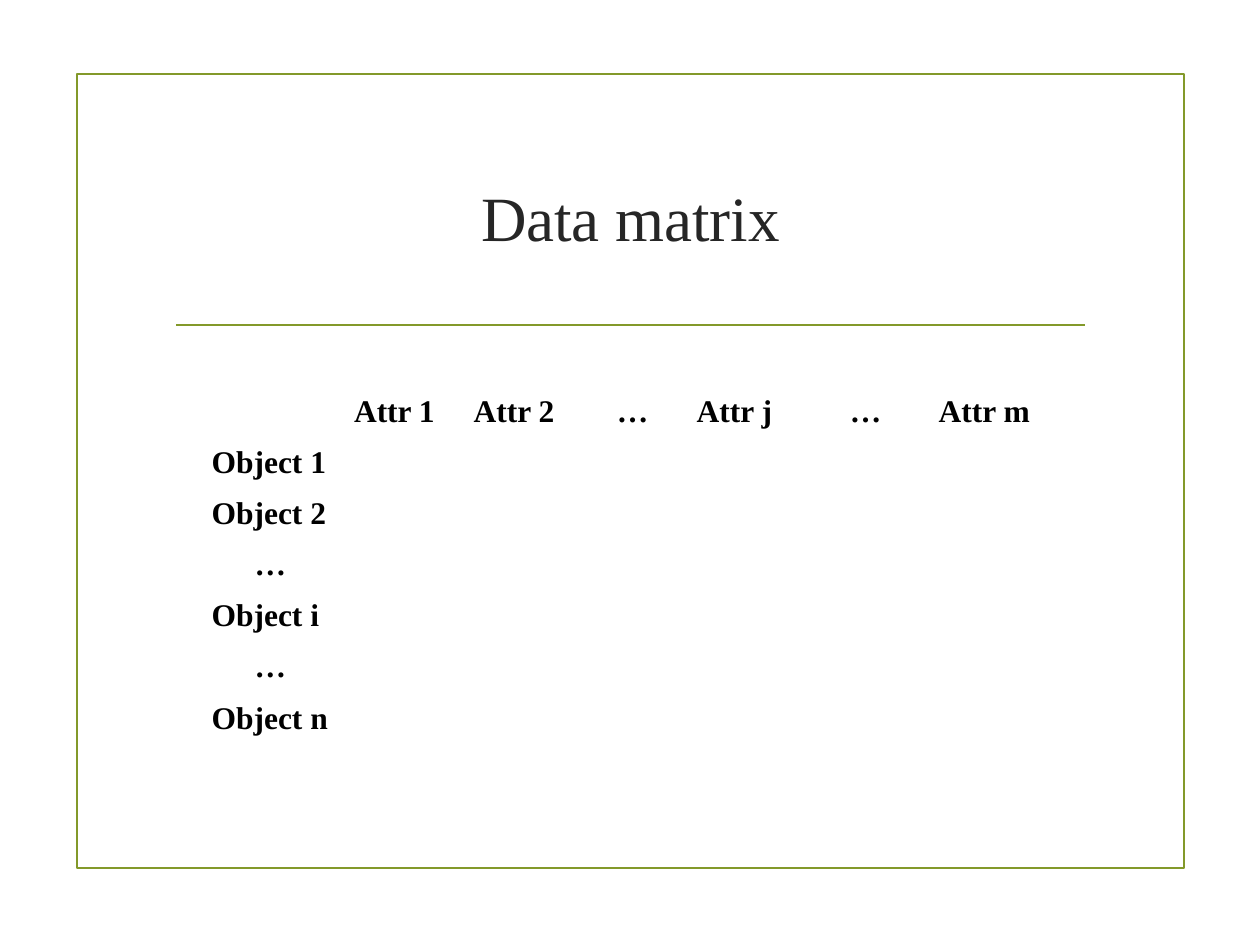
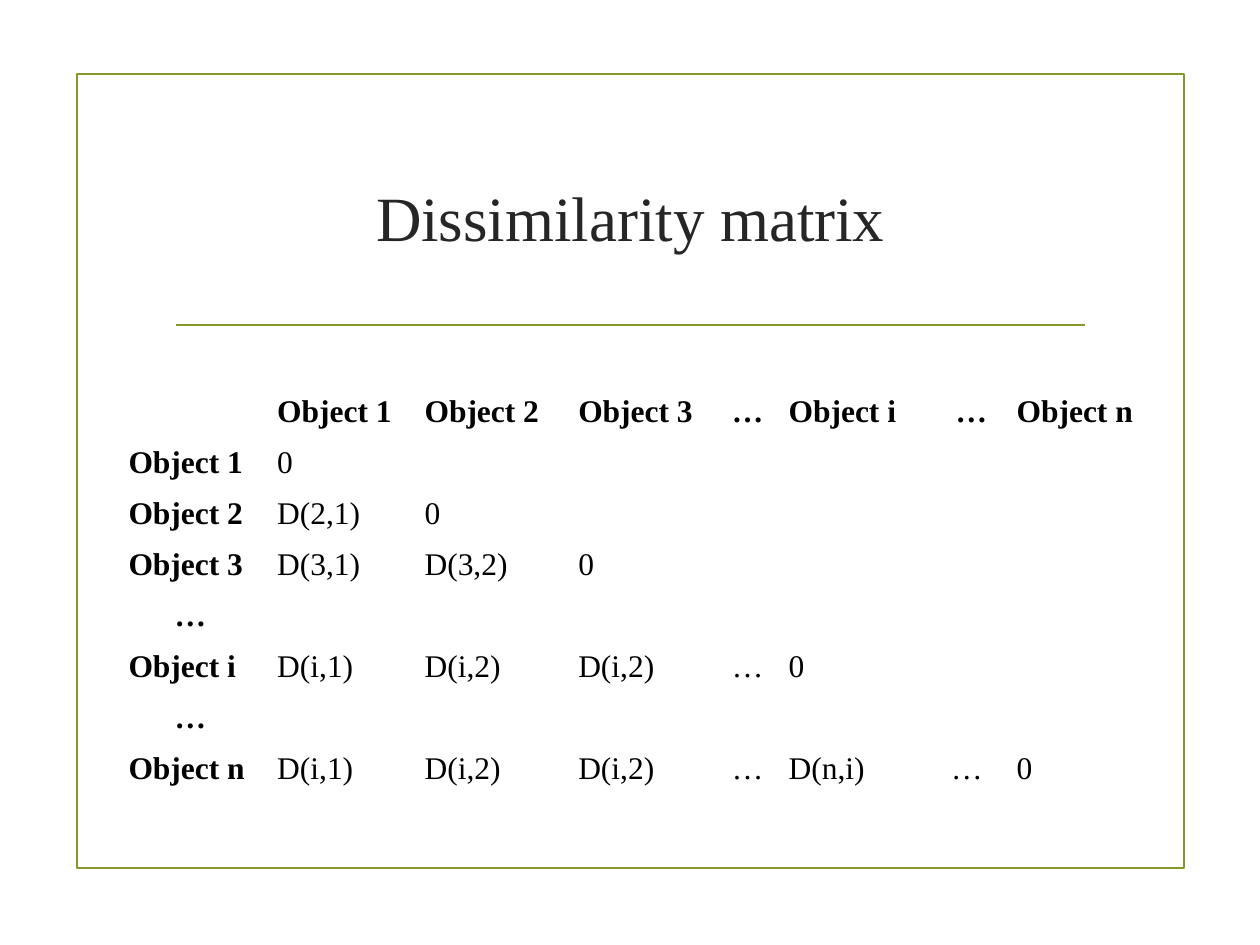
from lxml.etree import SubElement
from pptx import Presentation
from pptx.dml.color import RGBColor
from pptx.enum.shapes import MSO_CONNECTOR, MSO_SHAPE
from pptx.enum.text import MSO_ANCHOR, PP_ALIGN
from pptx.oxml.ns import qn
from pptx.util import Inches, Pt

COLORS = {"accent": "83992A", "title": "262626", "text": "000000", "border": "FFFFFF"}
FONT = "Times New Roman"
RULE_WIDTH = 1.25

DATA_MATRIX = [
    ["", "Attr 1", "Attr 2", "…", "Attr j", "…", "Attr m"],
    ["Object 1"],
    ["Object 2"],
    ["…"],
    ["Object i"],
    ["…"],
    ["Object n"],
]
DISSIMILARITY_MATRIX = [
    ["", "Object 1", "Object 2", "Object 3", "…", "Object i", "…", "Object n"],
    ["Object 1", "0"],
    ["Object 2", "D(2,1)", "0"],
    ["Object 3", "D(3,1)", "D(3,2)", "0"],
    ["…"],
    ["Object i", "D(i,1)", "D(i,2)", "D(i,2)", "…", "0"],
    ["…"],
    ["Object n", "D(i,1)", "D(i,2)", "D(i,2)", "…", "D(n,i)", "…", "0"],
]


def color(name):
    """Return the named colour."""
    return RGBColor.from_string(COLORS[name])


def add_run(paragraph, text, size, color_name, bold=False):
    """Append one styled run to a paragraph."""
    run = paragraph.add_run()
    run.text = text
    run.font.name = FONT
    run.font.size = Pt(size)
    run.font.bold = bold
    run.font.color.rgb = color(color_name)


def add_frame(slide):
    """Draw the outline around the slide content."""
    frame = slide.shapes.add_shape(
        MSO_SHAPE.RECTANGLE, Inches(0.61), Inches(0.59), Inches(8.79), Inches(6.3))
    frame.shadow.inherit = False
    frame.fill.background()
    frame.line.color.rgb = color("accent")
    frame.line.width = Pt(RULE_WIDTH)


def add_title_rule(slide):
    """Draw the line under the title."""
    rule = slide.shapes.add_connector(
        MSO_CONNECTOR.STRAIGHT, Inches(1.4), Inches(2.58), Inches(8.61), Inches(2.58))
    rule.line.color.rgb = color("accent")
    rule.line.width = Pt(RULE_WIDTH)
    SubElement(rule.element.spPr, qn("a:effectLst"))


def add_title(slide, text):
    """Write the centred title."""
    title = slide.shapes.add_textbox(
        Inches(2.2), Inches(1.38), Inches(5.61), Inches(0.67)).text_frame
    title.word_wrap = True
    title.vertical_anchor = MSO_ANCHOR.MIDDLE
    heading = title.paragraphs[0]
    heading.alignment = PP_ALIGN.CENTER
    add_run(heading, text, 36, "title")


def set_borders(cell, top, bottom):
    """Give a cell white borders, with top and bottom widths in points."""
    properties = cell._tc.get_or_add_tcPr()
    for side, width in (("L", 1), ("R", 1), ("T", top), ("B", bottom)):
        border = SubElement(properties, qn(f"a:ln{side}"), w=str(Pt(width)))
        fill = SubElement(border, qn("a:solidFill"))
        SubElement(fill, qn("a:srgbClr"), val=COLORS["border"])


def add_matrix(slide, left, height, column_widths, rows):
    """Add a matrix with bold labels in its first row and column."""
    matrix = slide.shapes.add_table(
        len(rows), len(column_widths), Inches(left), Inches(3.08),
        Inches(sum(column_widths)), Inches(height)).table
    matrix.first_row = matrix.horz_banding = False
    for column, width in zip(matrix.columns, column_widths):
        column.width = Inches(width)
    for row_index in range(len(rows)):
        for column_index in range(len(column_widths)):
            cell = matrix.cell(row_index, column_index)
            set_borders(cell, 3 if row_index == 1 else 1, 3 if row_index == 0 else 1)
            cell.fill.background()
    for row_index, row in enumerate(rows):
        for column_index, text in enumerate(row):
            if not text:
                continue
            is_label = row_index == 0 or column_index == 0
            entry = matrix.cell(row_index, column_index).text_frame.paragraphs[0]
            entry.alignment = PP_ALIGN.CENTER if is_label and text == "…" else PP_ALIGN.LEFT
            add_run(entry, text, 18, "text", bold=is_label)


def add_matrix_slide(deck, title, left, height, column_widths, rows):
    """Add a framed slide with a title and a matrix."""
    slide = deck.slides.add_slide(deck.slide_layouts[6])
    add_frame(slide)
    add_title_rule(slide)
    add_title(slide, title)
    add_matrix(slide, left, height, column_widths, rows)


def main():
    """Build and save the deck."""
    deck = Presentation()
    deck.slide_width, deck.slide_height = Inches(10), Inches(7.5)
    add_matrix_slide(deck, "Data matrix", 1.58, 2.84,
                     [1.13, 0.95, 0.95, 0.82, 0.96, 0.96, 0.96], DATA_MATRIX)
    add_matrix_slide(deck, "Dissimilarity matrix", 0.92, 3.24,
                     [1.18, 1.17, 1.22, 1.22, 0.45, 1.29, 0.52, 1.2],
                     DISSIMILARITY_MATRIX)
    deck.save("out.pptx")


if __name__ == "__main__":
    main()
